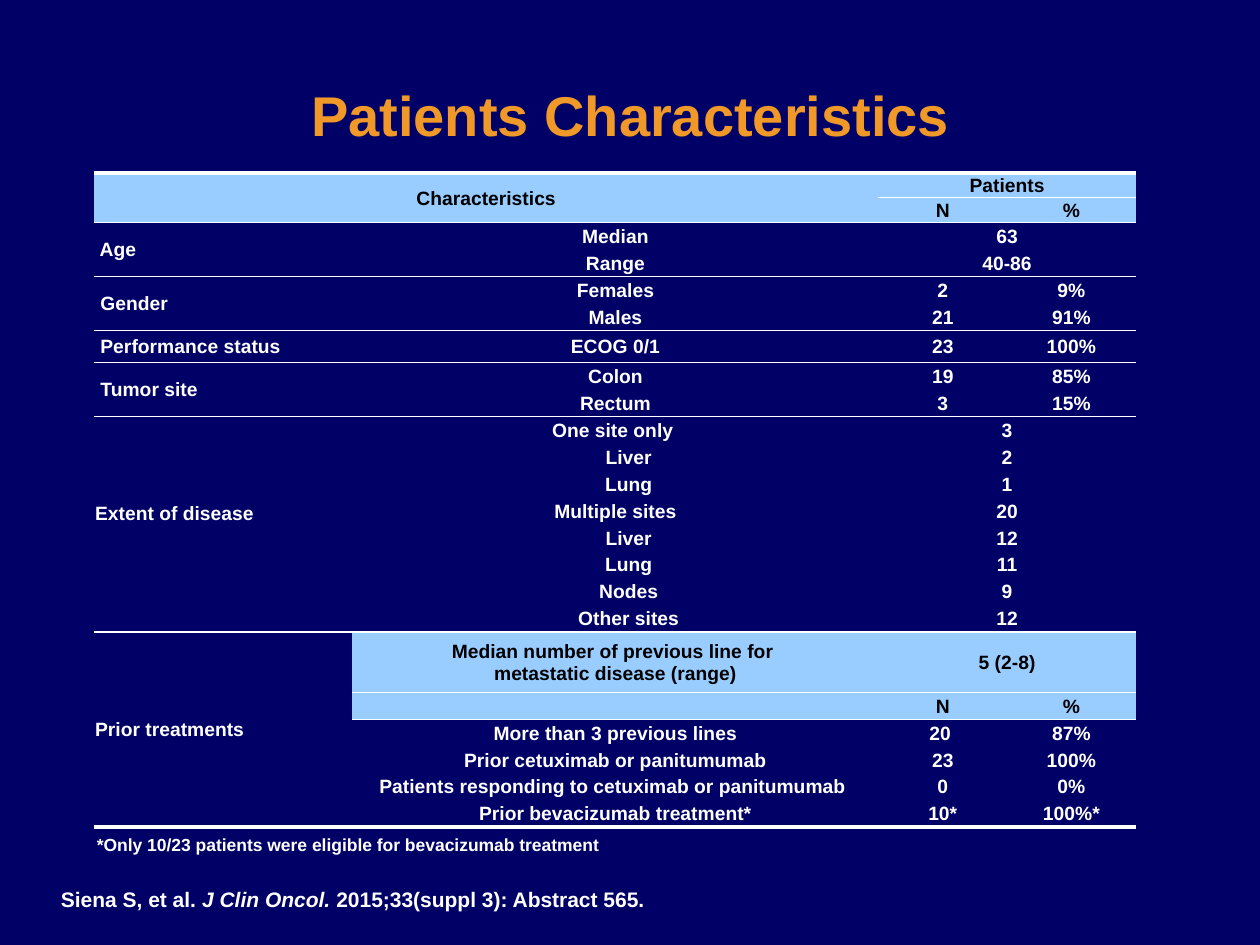
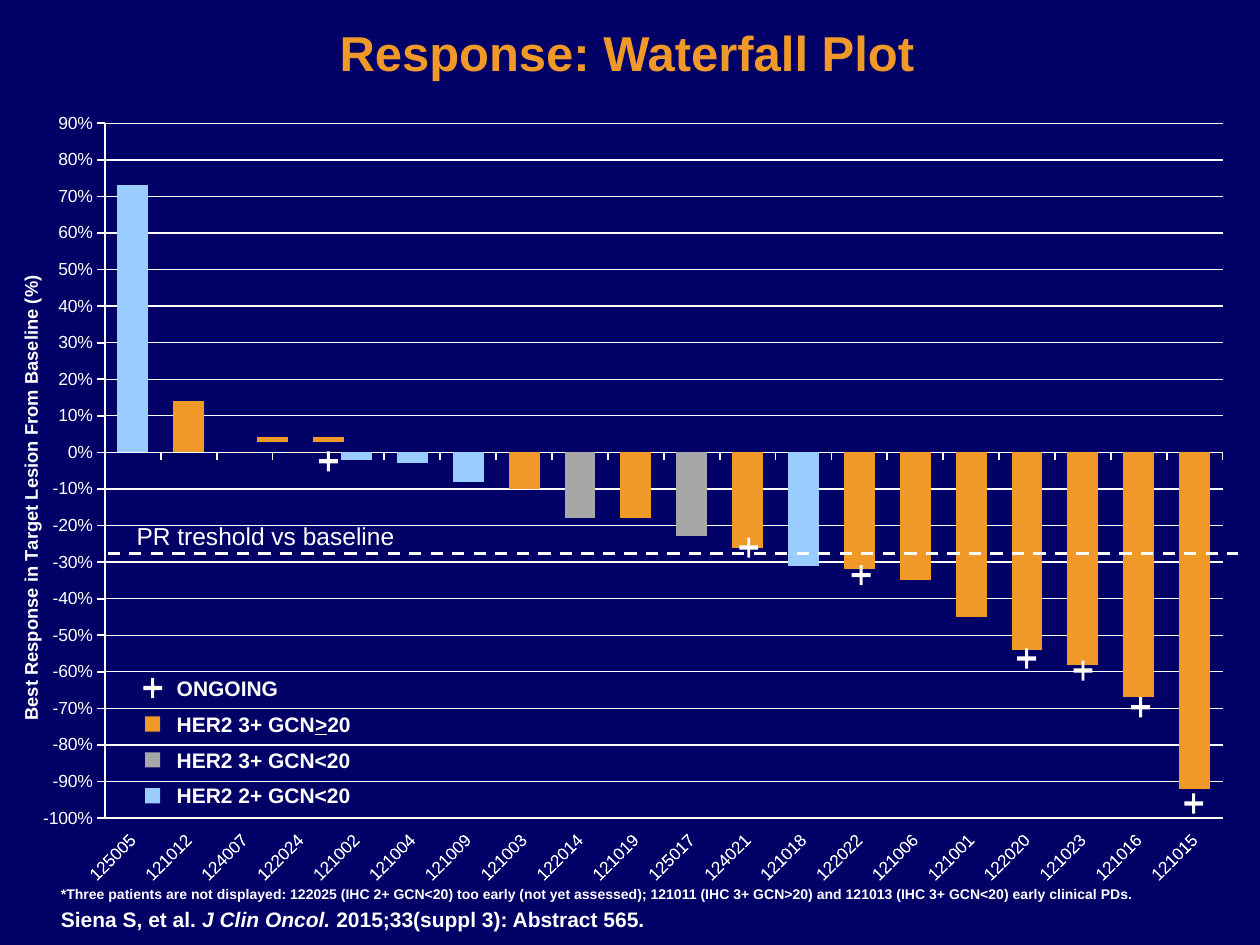
from lxml import etree
from pptx import Presentation
from pptx.chart.data import CategoryChartData
from pptx.dml.color import RGBColor
from pptx.enum.chart import XL_CHART_TYPE, XL_TICK_LABEL_POSITION, XL_TICK_MARK
from pptx.enum.dml import MSO_LINE
from pptx.enum.shapes import MSO_CONNECTOR, MSO_SHAPE
from pptx.enum.text import MSO_ANCHOR, PP_ALIGN
from pptx.oxml.ns import qn
from pptx.util import Inches, Pt

LEFT, CENTER = PP_ALIGN.LEFT, PP_ALIGN.CENTER
MIDDLE = MSO_ANCHOR.MIDDLE
COLUMN_CLUSTERED = XL_CHART_TYPE.COLUMN_CLUSTERED
LABELS_LOW = XL_TICK_LABEL_POSITION.LOW
TICK_OUTSIDE = XL_TICK_MARK.OUTSIDE
STRAIGHT = MSO_CONNECTOR.STRAIGHT
RECTANGLE, CROSS = MSO_SHAPE.RECTANGLE, MSO_SHAPE.CROSS
DASH = MSO_LINE.DASH

FONT = "Arial"
NAVY, WHITE, BLACK = "000066", "FFFFFF", "000000"
ORANGE, SKY, GRAY = "F09828", "99CCFF", "A6A6A6"
SLIDE_WIDTH, SLIDE_HEIGHT = Inches(10), Inches(7.5)
CITATION = [("Siena S, et al. ", ""), ("J Clin Oncol. ", "italic"),
            ("2015;33(suppl 3): Abstract 565.", "")]

# Table content: group label, rows of (label, N, %)
GROUPS = [
    ("Characteristics", [("", "Patients", None), ("", "N", "%")]),
    (" Age", [("Median", "63", None), ("Range", "40-86", None)]),
    (" Gender", [("Females", "2", "9%"), ("Males", "21", "91%")]),
    (" Performance status", [("ECOG 0/1", "23", "100%")]),
    (" Tumor site", [("Colon", "19", "85%"), ("Rectum", "3", "15%")]),
    ("Extent of disease", [
        ("One site only ", "3", None), ("Liver", "2", None), ("Lung", "1", None),
        ("Multiple sites", "20", None), ("Liver", "12", None), ("Lung", "11", None),
        ("Nodes", "9", None), ("Other sites", "12", None)]),
    ("Prior treatments", [
        ("Median number of previous line for \vmetastatic disease (range)", "5 (2-8)", None),
        ("", "N", "%"),
        ("More than 3 previous lines", "20 ", "87%"),
        ("Prior cetuximab or panitumumab", "23", "100%"),
        ("Patients responding to cetuximab or panitumumab ", "0", "0%"),
        ("Prior bevacizumab treatment*", "10*", "100%*")]),
]
SUBSITES = {"Liver", "Lung", "Nodes", "Other sites"}
COLUMN_WEIGHTS = [2.05, 4.17, 1.02, 1.02]
ROW_WEIGHTS = {0: 0.92, 1: 0.92, 6: 1.2, 17: 2.24}
HIGHLIGHT_FROM = {0: 0, 1: 0, 17: 1, 18: 1}  # row: first blue column
RULES = {0: (0, 3), 1: (2, 1), 18: (1, 1), 19: (1, 1), 23: (0, 3),
         **{edge: (0, 1) for edge in (2, 4, 6, 7, 9, 17)}}  # row edge: first column, points

# Waterfall data: patient, best response, bar colour
PATIENTS = [
    ("125005", 0.73, SKY), ("121012", 0.14, ORANGE), ("124007", 0, ORANGE),
    ("122024", 0, ORANGE), ("121002", -0.02, SKY), ("121004", -0.03, SKY),
    ("121009", -0.08, SKY), ("121003", -0.1, ORANGE), ("122014", -0.18, GRAY),
    ("121019", -0.18, ORANGE), ("125017", -0.23, GRAY), ("124021", -0.26, ORANGE),
    ("121018", -0.31, SKY), ("122022", -0.32, ORANGE), ("121006", -0.35, ORANGE),
    ("121001", -0.45, ORANGE), ("122020", -0.54, ORANGE), ("121023", -0.58, ORANGE),
    ("121016", -0.67, ORANGE), ("121015", -0.92, ORANGE),
]
AXIS_TOP, AXIS_BOTTOM = 90, -100
PLOT = (7.3, 8.64, 90.9, 83.75)  # percent of the chart
# Positions on the plot: patient columns and percent values
ONGOING = [(4, -2), (11.52, -25.5), (13.53, -33), (16.49, -55.7),
           (17.5, -59), (18.53, -69), (19.48, -95.2)]
UNCHANGED_COLUMNS, UNCHANGED_VALUE, UNCHANGED_HALF = (3, 4), 4, 0.27
THRESHOLD = -27
LEGEND = [
    (CROSS, WHITE, [("ONGOING", "")]),
    (RECTANGLE, ORANGE, [("HER2 3+ GCN", ""), (">", "underline"), ("20", "")]),
    (RECTANGLE, GRAY, [("HER2 3+ GCN<20", "")]),
    (RECTANGLE, SKY, [("HER2 2+ GCN<20", "")]),
]


def rgb(color):
    return RGBColor.from_string(color)


def inside(box, shares):
    """Return the part of a box given by percentages of its size."""
    left, top, width, height = box
    x, y, w, h = (share / 100 for share in shares)
    return (int(left + x * width), int(top + y * height), int(w * width), int(h * height))


def on_slide(*shares):
    return inside((0, 0, SLIDE_WIDTH, SLIDE_HEIGHT), shares)


def style_font(font, size, color, bold=False):
    font.name, font.size, font.bold = FONT, Pt(size), bold
    font.color.rgb = rgb(color)


def add_text(slide, box, runs, size, color=WHITE, bold=True, align=LEFT):
    frame = slide.shapes.add_textbox(*box).text_frame
    frame.word_wrap = True
    paragraph = frame.paragraphs[0]
    paragraph.alignment = align
    style_font(paragraph.font, size, color, bold)
    for text, emphasis in runs:
        run = paragraph.add_run()
        run.text = text
        if emphasis:
            setattr(run.font, emphasis, True)


def add_line(slide, start, end, color, width, dash=None):
    line = slide.shapes.add_connector(STRAIGHT, *start, *end)
    line.line.color.rgb = rgb(color)
    line.line.width = Pt(width)
    if dash:
        line.line.dash_style = dash
    etree.SubElement(line._element.spPr, qn("a:effectLst"))


def add_key(slide, preset, color, center):
    """Place a small plus or square around a centre."""
    width, height = (0.15, 0.16) if preset == CROSS else (0.12, 0.12)
    width, height = Inches(width), Inches(height)
    key = slide.shapes.add_shape(preset, int(center[0] - width / 2),
                                 int(center[1] - height / 2), width, height)
    if preset == CROSS:
        key.adjustments[0] = 0.42
    key.shadow.inherit = False
    key.fill.solid()
    key.fill.fore_color.rgb = rgb(color)
    key.line.fill.background()


def add_base(presentation, title, title_box, title_size, note, note_box, note_size, citation_top):
    """Add a slide with the background, title, footnote and citation."""
    slide = presentation.slides.add_slide(presentation.slide_layouts[6])
    slide.background.fill.solid()
    slide.background.fill.fore_color.rgb = rgb(NAVY)
    add_text(slide, title_box, [(title, "")], title_size, ORANGE, align=CENTER)
    add_text(slide, note_box, [(note, "")], note_size)
    add_text(slide, on_slide(3.85, citation_top, 63.8, 4), CITATION, 12)
    return slide


def fill_cell(cell, text, row, column):
    highlighted = column >= HIGHLIGHT_FROM.get(row, 9)
    cell.text = text
    cell.vertical_anchor = MIDDLE
    cell.margin_left = cell.margin_right = cell.margin_top = Inches(0.01)
    cell.margin_bottom = 0
    paragraph = cell.text_frame.paragraphs[0]
    paragraph.alignment = CENTER if column or row < 2 else LEFT
    style_font(paragraph.font, 11, BLACK if highlighted else WHITE, True)
    if not text:
        paragraph._p.get_or_add_endParaRPr().set("sz", "1100")
    if highlighted:
        cell.fill.solid()
        cell.fill.fore_color.rgb = rgb(SKY)
    else:
        cell.fill.background()


def rule_cell(cell, row, column):
    """Draw or clear the rules along the top and bottom of a cell."""
    properties = cell._tc.get_or_add_tcPr()
    edges = (("a:lnT", row), ("a:lnB", row + cell.span_height))
    for position, (tag, edge) in enumerate(edges):
        first_column, width = RULES.get(edge, (9, 0))
        line = etree.Element(qn(tag))
        if column >= first_column:
            line.set("w", str(Pt(width)))
            fill = etree.SubElement(line, qn("a:solidFill"))
            etree.SubElement(fill, qn("a:srgbClr"), val=WHITE)
        else:
            etree.SubElement(line, qn("a:noFill"))
        properties.insert(position, line)


def add_characteristics_table(slide, box):
    row_count = sum(len(rows) for _, rows in GROUPS)
    table = slide.shapes.add_table(row_count, len(COLUMN_WEIGHTS), *box).table
    table.first_row = table.horz_banding = False
    # "No Style, No Grid"
    table._tbl.tblPr.find(qn("a:tableStyleId")).text = "{2D5ABB26-0587-4C30-8999-92F81FD0307C}"
    for column, weight in zip(table.columns, COLUMN_WEIGHTS):
        column.width = int(box[2] * weight / sum(COLUMN_WEIGHTS))
    weights = [ROW_WEIGHTS.get(row, 1) for row in range(row_count)]
    for row, weight in zip(table.rows, weights):
        row.height = int(box[3] * weight / sum(weights))

    # Text and merged cells
    first = 0
    for group, rows in GROUPS:
        for row, (label, number, percent) in enumerate(rows, first):
            texts = (group if row == first else "", label, number, percent or "")
            for column, text in enumerate(texts):
                fill_cell(table.cell(row, column), text, row, column)
            if label in SUBSITES:
                table.cell(row, 1).margin_left = Inches(0.22)
            if percent is None:
                table.cell(row, 2).merge(table.cell(row, 3))
        heading = table.cell(first, 0)
        if group == "Extent of disease":
            heading.margin_bottom = Inches(0.17)
        last = first + len(rows) - 1
        if last > first:
            heading.merge(table.cell(last, 0 if first else 1))
        first = last + 1

    # Rules
    for row in range(row_count):
        for column in range(len(COLUMN_WEIGHTS)):
            rule_cell(table.cell(row, column), row, column)


def add_waterfall_chart(slide, box):
    data = CategoryChartData()
    data.categories = [patient for patient, _, _ in PATIENTS]
    data.add_series("Series 1", [response for _, response, _ in PATIENTS])
    chart = slide.shapes.add_chart(COLUMN_CLUSTERED, *box, data).chart
    chart.has_legend = chart.has_title = False
    style_font(chart.font, 10, WHITE)

    # Bars
    plot = chart.plots[0]
    plot.gap_width, plot.overlap, plot.vary_by_categories = 81, -46, False
    series = plot.series[0]
    series.invert_if_negative = False
    for index, (_, _, color) in enumerate(PATIENTS):
        fill = series.points[index].format.fill
        fill.solid()
        fill.fore_color.rgb = rgb(color)

    # Axes
    patients, responses = chart.category_axis, chart.value_axis
    for axis in (patients, responses):
        axis.major_tick_mark = TICK_OUTSIDE
        axis.format.line.color.rgb = rgb(WHITE)
        axis.format.line.width = Pt(1)
        style_font(axis.tick_labels.font, 10, WHITE)
    patients.tick_label_position = LABELS_LOW
    patients._element.find(qn("c:txPr")).find(qn("a:bodyPr")).set("rot", "-2700000")
    responses.minimum_scale, responses.maximum_scale = AXIS_BOTTOM / 100, AXIS_TOP / 100
    responses.major_unit = 0.1
    responses.tick_labels.number_format = "0%"
    responses.tick_labels.number_format_is_linked = False
    responses.has_major_gridlines = True
    responses.major_gridlines.format.line.color.rgb = rgb(WHITE)
    responses.major_gridlines.format.line.width = Pt(0.75)
    title = responses.axis_title.text_frame
    title.text = "Best Response in Target Lesion From Baseline (%)"
    style_font(title.paragraphs[0].font, 10.5, WHITE, True)

    # Fixed plot area
    area = chart._chartSpace.chart.plotArea
    for old_layout in area.findall(qn("c:layout")):
        area.remove(old_layout)
    layout = etree.Element(qn("c:layout"))
    manual = etree.SubElement(layout, qn("c:manualLayout"))
    settings = [("layoutTarget", "inner"), ("xMode", "edge"), ("yMode", "edge")]
    settings += [(name, str(share / 100)) for name, share in zip("xywh", PLOT)]
    for name, value in settings:
        etree.SubElement(manual, qn("c:" + name), val=value)
    area.insert(0, layout)


def add_plot_marks(slide, chart_box):
    left, top, width, height = inside(chart_box, PLOT)

    def at(column, value):
        return (int(left + width * column / len(PATIENTS)),
                int(top + height * (AXIS_TOP - value) / (AXIS_TOP - AXIS_BOTTOM)))

    add_line(slide, at(0.05, THRESHOLD), at(20.27, THRESHOLD), WHITE, 1.75, DASH)
    for column in UNCHANGED_COLUMNS:
        add_line(slide, at(column - UNCHANGED_HALF, UNCHANGED_VALUE),
                 at(column + UNCHANGED_HALF, UNCHANGED_VALUE), ORANGE, 3)
    for column, value in ONGOING:
        add_key(slide, CROSS, WHITE, at(column, value))


def add_legend(slide, box):
    row_share = 100 / len(LEGEND)
    for index, (preset, color, runs) in enumerate(LEGEND):
        left, top, width, height = inside(box, (0, index * row_share, 100, row_share))
        add_key(slide, preset, color, (left + width * 0.04, top + height * 0.53))
        add_text(slide, inside((left, top, width, height), (8, 0, 92, 100)), runs, 12)


def add_characteristics_slide(presentation):
    slide = add_base(presentation, "Patients Characteristics", on_slide(17, 7.87, 66.1, 8.53), 32,
                     "*Only 10/23 patients were eligible for bevacizumab treatment",
                     on_slide(6.7, 87.6, 82.7, 3.6), 10, 93.2)
    add_characteristics_table(slide, on_slide(7.45, 18.3, 82.7, 69.3))


def add_waterfall_slide(presentation):
    slide = add_base(presentation, "Response: Waterfall Plot", on_slide(4.3, 1.73, 90.9, 7.6), 28,
                     "*Three patients are not displayed: 122025 (IHC 2+ GCN<20) too early "
                     "(not yet assessed); 121011 (IHC 3+ GCN>20) and 121013 (IHC 3+ GCN<20) "
                     "early clinical PDs.", on_slide(3.85, 93.07, 96, 3.2), 8, 95.33)
    chart_box = on_slide(1.2, 5.47, 97.6, 88.13)
    add_waterfall_chart(slide, chart_box)
    add_plot_marks(slide, chart_box)
    add_text(slide, on_slide(9.85, 54.5, 25.8, 4.53), [("PR treshold vs baseline", "")], 14, bold=False)
    add_legend(slide, on_slide(11.2, 70.8, 23, 15.2))


def main():
    presentation = Presentation()
    presentation.slide_width, presentation.slide_height = SLIDE_WIDTH, SLIDE_HEIGHT
    add_characteristics_slide(presentation)
    add_waterfall_slide(presentation)
    presentation.save("out.pptx")


if __name__ == "__main__":
    main()
